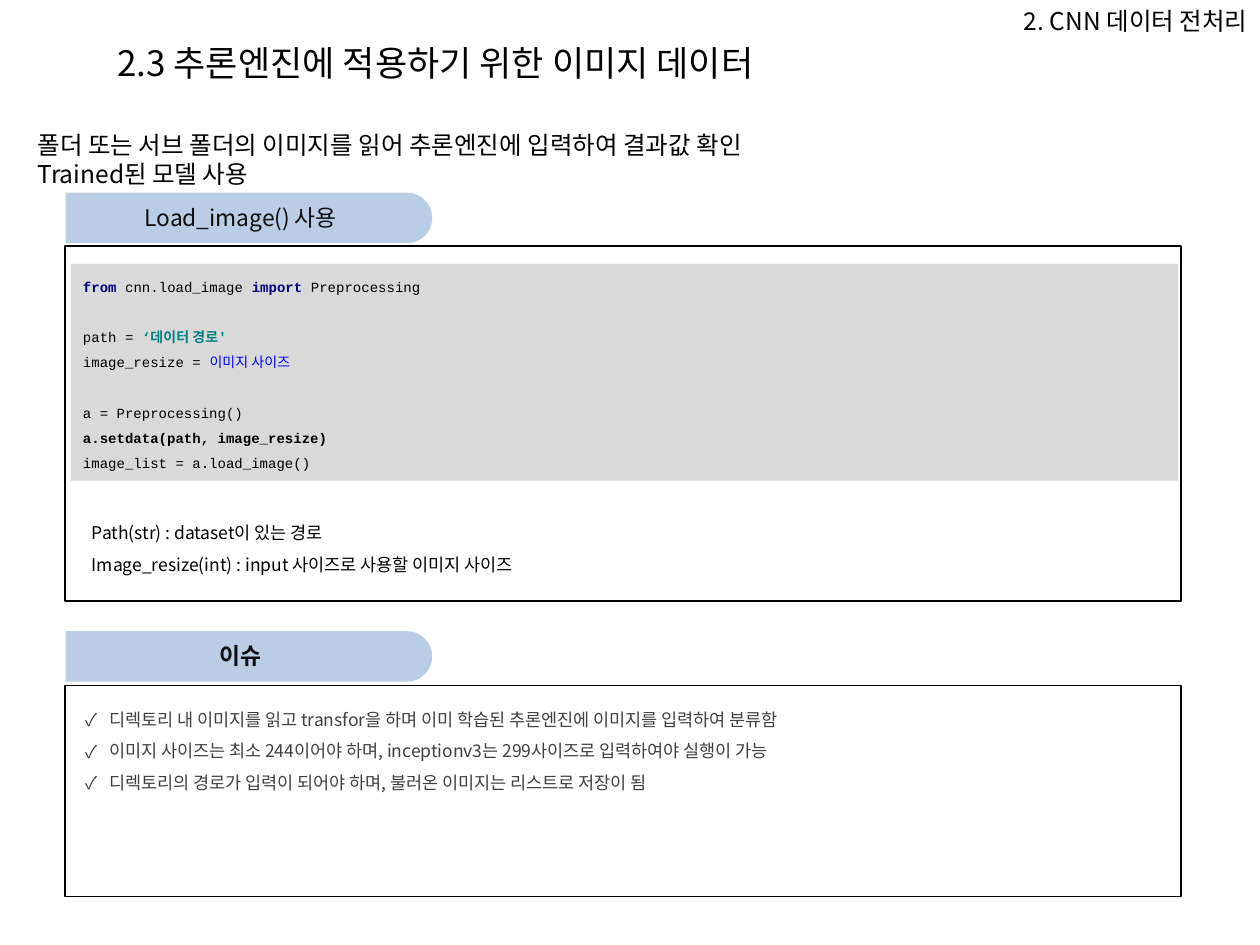
import pptx
import pptx.util
import pptx.dml.color
import pptx.enum.shapes
import pptx.enum.text
import pptx.oxml
import pptx.oxml.ns

SHAPE = pptx.enum.shapes.MSO_SHAPE
ALIGN = pptx.enum.text.PP_ALIGN
ANCHOR = pptx.enum.text.MSO_ANCHOR
FIT = pptx.enum.text.MSO_AUTO_SIZE

BODY_FONT, CODE_FONT = "Noto Sans CJK KR", "Courier New"
BLACK, GREY, INK = "000000", "404040", "0D0D0D"
TAB_BLUE, CODE_GREY = "B9CDE5", "D9D9D9"
KEYWORD, STRING, NUMBER = "000080", "008080", "0000FF"


def color(value):
    return pptx.dml.color.RGBColor.from_string(value)


def element(tag, attributes):
    return pptx.oxml.parse_xml(
        f'<a:{tag} {pptx.oxml.ns.nsdecls("a")} {attributes}/>')


class SlideBuilder:
    """Places elements on a grid of 100 columns by 75 rows."""

    def __init__(self, deck):
        self.column = deck.slide_width / 100
        self.row = deck.slide_height / 75
        self.page = deck.slides.add_slide(deck.slide_layouts[5])

    def place(self, left, top, width, height):
        return (round(left * self.column), round(top * self.row),
                round(width * self.column), round(height * self.row))

    def span(self, para, text, size, tone=BLACK, bold=False, font=BODY_FONT):
        span = para.add_run()
        span.text = text
        span.font.size = pptx.util.Pt(size)
        span.font.bold = bold
        span.font.name = font
        span.font.color.rgb = color(tone)
        properties = span.font._element
        properties.set("kern", "0")
        properties.find(pptx.oxml.ns.qn("a:latin")).addnext(
            element("ea", f'typeface="{BODY_FONT}"'))

    def line_break(self, para, size):
        para.add_line_break()
        properties = element("rPr", f'sz="{size * 100}"')
        properties.append(element("latin", f'typeface="{CODE_FONT}"'))
        para._p[-1].append(properties)

    def frame(self, box, anchor=ANCHOR.TOP, inset=True, fit=FIT.NONE):
        frame = box.text_frame
        frame.word_wrap = True
        frame.auto_size = fit
        frame.vertical_anchor = anchor
        if not inset:
            frame.margin_left = frame.margin_right = 0
            frame.margin_top = frame.margin_bottom = 0
        return frame

    def title(self, area, text, size):
        box = self.page.shapes.title
        box.left, box.top, box.width, box.height = self.place(*area)
        para = self.frame(box, ANCHOR.MIDDLE).paragraphs[0]
        para.alignment = ALIGN.LEFT
        self.span(para, text, size)

    def text(self, area, lines, size, tone=BLACK, align=ALIGN.LEFT,
             spacing=1.0, inset=True, bullet=None):
        box = self.page.shapes.add_textbox(*self.place(*area))
        frame = self.frame(box, inset=inset, fit=FIT.SHAPE_TO_FIT_TEXT)
        for index, line in enumerate(lines):
            para = frame.add_paragraph() if index else frame.paragraphs[0]
            para.alignment = align
            para.line_spacing = spacing
            if bullet:
                self.bullet(para, bullet)
            self.span(para, line, size, tone)

    def bullet(self, para, mark):
        properties = para._p.get_or_add_pPr()
        indent = round(1.87 * self.column)
        properties.set("marL", str(indent))
        properties.set("indent", str(-indent))
        properties.append(element("buFont", f'typeface="{BODY_FONT}"'))
        properties.append(element("buChar", f'char="{mark}"'))

    def shape(self, area, kind=SHAPE.RECTANGLE, fill=None, line=None):
        shape = self.page.shapes.add_shape(kind, *self.place(*area))
        shape.shadow.inherit = False
        if fill:
            shape.fill.solid()
            shape.fill.fore_color.rgb = color(fill)
        else:
            shape.fill.background()
        if line:
            shape.line.color.rgb = color(line)
            shape.line.width = pptx.util.Pt(1)
        else:
            shape.line.fill.background()
        return shape

    def section(self, top, frame_top, frame_height, heading, bold=False):
        """A frame under a heading tab that is rounded on its right end."""
        left, length, thickness = 5.2, 29.1, 4
        self.shape((5.16, frame_top, 88.6, frame_height), line=BLACK)
        # The tab is drawn upright, then turned about its centre
        shift = (length - thickness) / 2
        tab = self.shape((left + shift, top - shift, thickness, length),
                         SHAPE.ROUND_2_SAME_RECTANGLE, TAB_BLUE)
        tab.adjustments[0], tab.adjustments[1] = 0.5, 0
        tab.rotation = 90
        label = self.shape((5.4, top + 0.1, 27.4, 3.7), fill=TAB_BLUE)
        para = self.frame(label, ANCHOR.MIDDLE, inset=False).paragraphs[0]
        para.alignment = ALIGN.CENTER
        self.span(para, heading, 13, INK, bold)
        self.page.shapes.add_group_shape([tab, label])

    def code(self, area, lines, size):
        box = self.shape(area, fill=CODE_GREY)
        para = self.frame(box, fit=FIT.SHAPE_TO_FIT_TEXT).paragraphs[0]
        para.alignment = ALIGN.LEFT
        para.line_spacing = 1.5
        for index, line in enumerate(lines):
            if index:
                self.line_break(para, size)
            for text, tone, bold in line:
                self.span(para, text, size, tone, bold, CODE_FONT)


def main():
    deck = pptx.Presentation()
    deck.slide_width = pptx.util.Inches(10)
    deck.slide_height = pptx.util.Inches(7.5)
    slide = SlideBuilder(deck)

    # Title, chapter name and introduction
    slide.title((8.3, 2.1, 74.8, 5.7), "2.3 추론엔진에 적용하기 위한 이미지 데이터", 20)
    slide.text((63.6, 0, 36.4, 3.4), ["2. CNN 데이터 전처리"], 14, align=ALIGN.RIGHT)
    slide.text((2, 9.8, 96.1, 5.7), [
        "폴더 또는 서브 폴더의 이미지를 읽어 추론엔진에 입력하여 결과값 확인",
        "Trained된 모델 사용"], 14)

    # Usage: code and its arguments
    slide.section(15.3, 19.5, 28.2, "Load_image() 사용")
    slide.code((5.6, 20.95, 87.9, 17.2), [
        [("from ", KEYWORD, True), ("cnn.load_image ", BLACK, False),
         ("import ", KEYWORD, True), ("Preprocessing", BLACK, False)],
        [],
        [("path = ", BLACK, False), ("‘데이터 경로'", STRING, True)],
        [("image_resize = ", BLACK, False), ("이미지 사이즈", NUMBER, False)],
        [],
        [("a = Preprocessing()", BLACK, False)],
        [("a.setdata(path, image_resize)", BLACK, True)],
        [("image_list = a.load_image()", BLACK, False)]], 8)
    slide.text((7.3, 40.6, 84.3, 5), [
        "Path(str) : dataset이 있는 경로",
        "Image_resize(int) : input 사이즈로 사용할 이미지 사이즈"],
        10, spacing=1.5, inset=False)

    # Issues
    slide.section(50.1, 54.4, 16.75, "이슈", bold=True)
    slide.text((6.8, 55.4, 85.5, 7.6), [
        "디렉토리 내 이미지를 읽고 transfor을 하며 이미 학습된 추론엔진에 이미지를 입력하여 분류함",
        "이미지 사이즈는 최소 244이어야 하며, inceptionv3는 299사이즈로 입력하여야 실행이 가능",
        "디렉토리의 경로가 입력이 되어야 하며, 불러온 이미지는 리스트로 저장이 됨"],
        10, GREY, spacing=1.5, inset=False, bullet="✓")

    deck.save("out.pptx")


if __name__ == "__main__":
    main()
